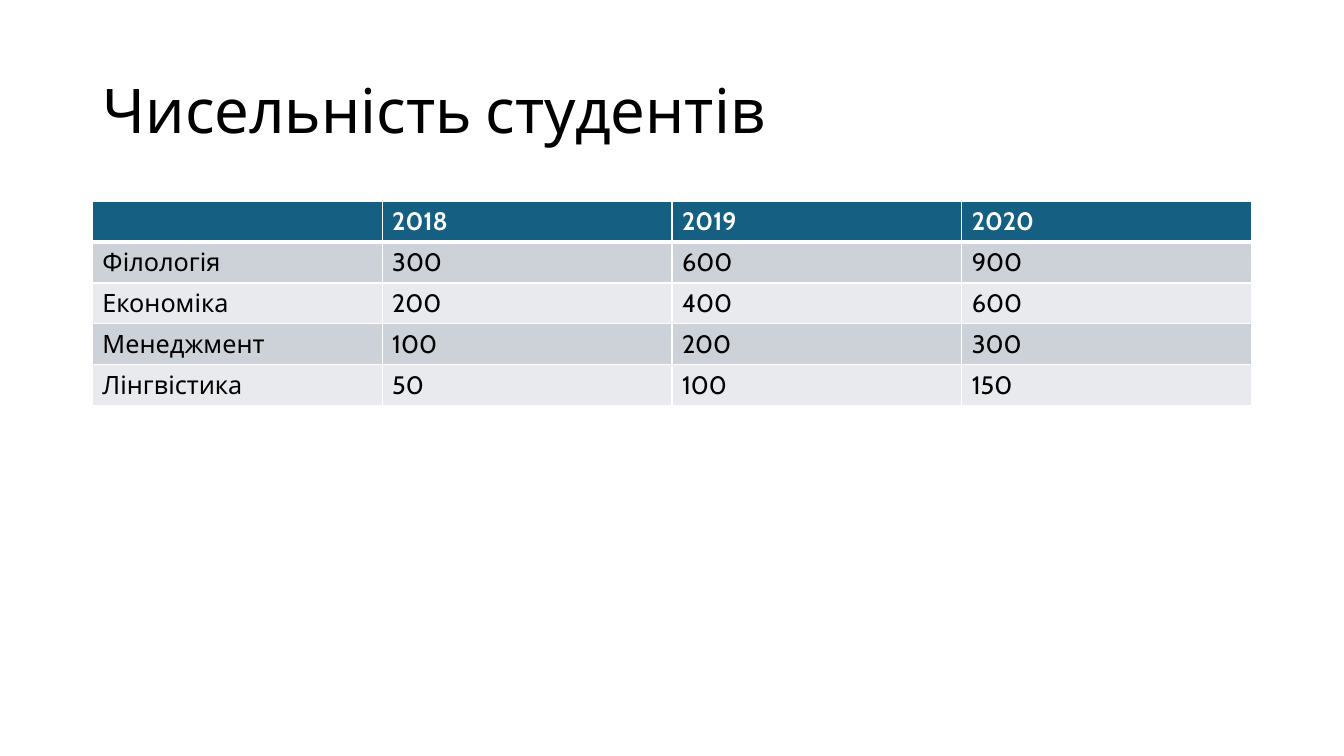
from lxml import etree
from pptx import Presentation
from pptx.dml.color import RGBColor
from pptx.enum import text
from pptx.oxml.ns import qn
from pptx.util import Pt

COLORS = {
    "white": "FFFFFF",
    "black": "000000",
    "header": "156082",
    "band_dark": "CCD2D8",
    "band_light": "E8EAED",
}
FONT = "Cabin"
LEFT, CONTENT_WIDTH = 66, 828
ROW_HEIGHT = 29.2

STUDENT_COUNTS = [
    ["", "2018", "2019", "2020"],
    ["Філологія", "300", "600", "900"],
    ["Економіка", "200", "400", "600"],
    ["Менеджмент", "100", "200", "300"],
    ["Лінгвістика", "50", "100", "150"],
]


def write_text(frame, content, size=18, color="black", bold=False, line_spacing=1.0):
    paragraph = frame.paragraphs[0]
    paragraph.alignment = text.PP_ALIGN.LEFT
    paragraph.line_spacing = line_spacing
    paragraph.font.size = Pt(size)
    if not content:
        return
    run = paragraph.add_run()
    run.text = content
    run.font.name = FONT
    run.font.size = Pt(size)
    run.font.bold = bold
    run.font.color.rgb = RGBColor.from_string(COLORS[color])


def set_borders(cell, **widths):
    """Draw white borders; widths are points by side, in the order L, R, T, B."""
    properties = cell._tc.get_or_add_tcPr()
    for position, (side, width) in enumerate(widths.items()):
        line = etree.Element(qn(f"a:ln{side}"), w=str(Pt(width)))
        fill = etree.SubElement(line, qn("a:solidFill"))
        etree.SubElement(fill, qn("a:srgbClr"), val=COLORS["white"])
        properties.insert(position, line)


class SlideBuilder:
    def __init__(self, presentation):
        title_only = presentation.slide_layouts[5]
        self.slide = presentation.slides.add_slide(title_only)
        background = self.slide.background.fill
        background.solid()
        background.fore_color.rgb = RGBColor.from_string(COLORS["white"])

    def title(self, content, top, height):
        title = self.slide.shapes.title
        title.left, title.top = Pt(LEFT), Pt(top)
        title.width, title.height = Pt(CONTENT_WIDTH), Pt(height)
        frame = title.text_frame
        frame.word_wrap = True
        frame.auto_size = text.MSO_AUTO_SIZE.NONE
        frame.vertical_anchor = text.MSO_ANCHOR.MIDDLE
        write_text(frame, content, size=44, line_spacing=0.9)

    def table(self, rows, top):
        row_count, column_count = len(rows), len(rows[0])
        table = self.slide.shapes.add_table(
            row_count, column_count, Pt(LEFT), Pt(top),
            Pt(CONTENT_WIDTH), Pt(ROW_HEIGHT * row_count)).table
        for column in table.columns:
            column.width = Pt(CONTENT_WIDTH / column_count)
        for row_index, values in enumerate(rows):
            table.rows[row_index].height = Pt(ROW_HEIGHT)
            for column_index, value in enumerate(values):
                self.table_cell(table.cell(row_index, column_index), value, row_index)

    def table_cell(self, cell, value, row_index):
        is_header = row_index == 0
        band = "band_dark" if row_index % 2 else "band_light"
        cell.fill.solid()
        cell.fill.fore_color.rgb = RGBColor.from_string(
            COLORS["header" if is_header else band])
        set_borders(cell, L=1, R=1, T=3 if row_index == 1 else 1,
                    B=3 if is_header else 1)
        write_text(cell.text_frame, value, bold=is_header,
                   color="white" if is_header else "black")


def main():
    presentation = Presentation()
    presentation.slide_width, presentation.slide_height = Pt(960), Pt(540)
    builder = SlideBuilder(presentation)
    builder.title("Чисельність студентів", top=28.75, height=104.4)
    builder.table(STUDENT_COUNTS, top=143.75)
    presentation.save("out.pptx")


if __name__ == "__main__":
    main()
